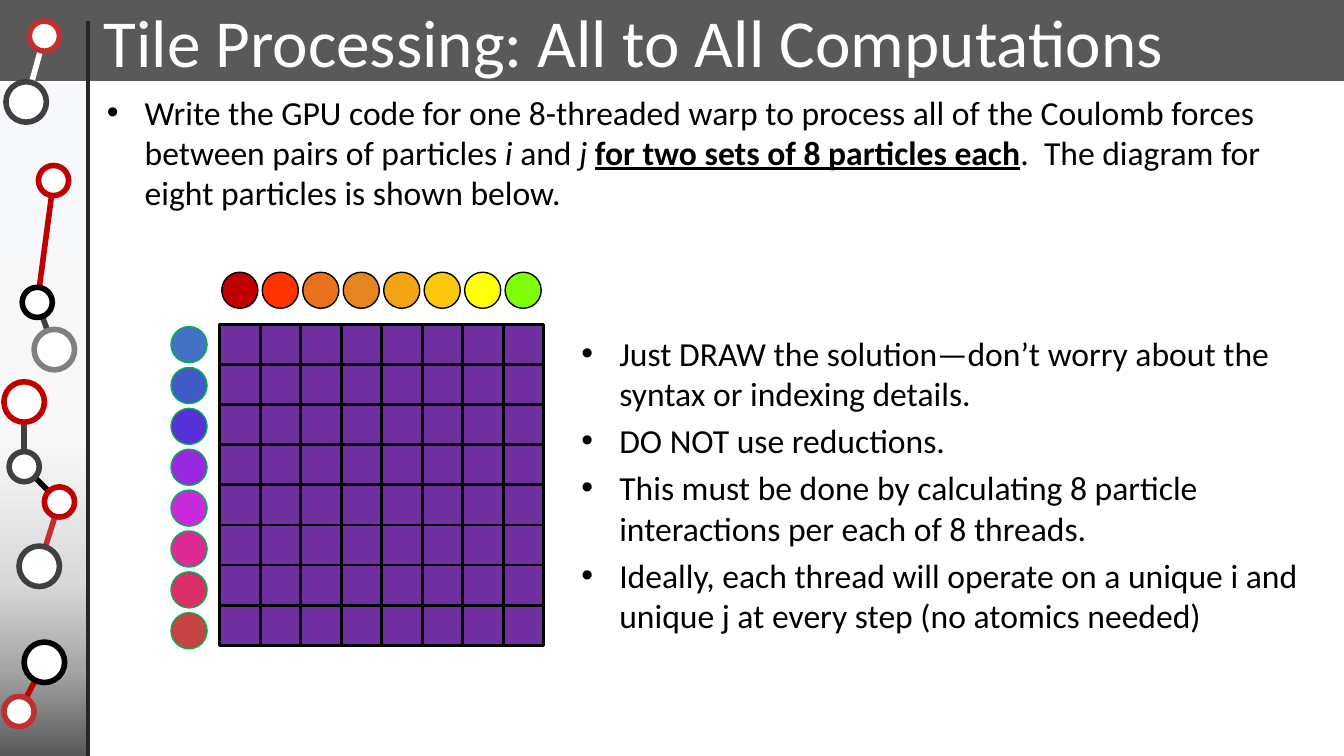
"""Build the tile processing slide with its particle interaction grid."""
from lxml.etree import SubElement
from pptx import Presentation
from pptx.dml.color import RGBColor
from pptx.enum.shapes import MSO_CONNECTOR, MSO_SHAPE
from pptx.enum.text import MSO_ANCHOR, MSO_AUTO_SIZE, PP_ALIGN
from pptx.oxml.ns import qn
from pptx.util import Cm, Pt

TITLE = "Tile Processing: All to All Computations"
TASK = [[
    ("Write the GPU code for one 8-threaded warp to process all of the Coulomb "
     "forces between pairs of particles ", {}),
    ("i", {"italic": True}),
    (" and ", {}),
    ("j ", {"italic": True}),
    ("for two sets of 8 particles each", {"bold": True, "underline": True}),
    (".  The diagram for eight particles is shown below.", {}),
]]
HINTS = [
    [("Just DRAW the solution—don’t worry about the syntax or indexing details.", {})],
    [("DO NOT use reductions.", {})],
    [("This must be done by calculating 8 particle interactions per each of 8 threads.", {})],
    [("Ideally, each thread will operate on a unique i and unique j at every step "
      "(no atomics needed)", {})],
]
COLUMN_PARTICLES = ["C00000", "FF3300", "EA711E", "E68422",
                    "F3A415", "FBC80D", "FFFF09", "7EFF09"]
ROW_PARTICLES = ["4472C4", "405AC8", "5830D8", "9A28E0",
                 "C92ADE", "DF2995", "DB2D67", "C54343"]
STRIP_GRADIENT = [(0, "F6F8FC"), (53, "F8F8F8"), (74, "D9D9D9"),
                  (87, "A6A6A6"), (100, "595959")]
SMALL, LARGE = 0.76, 1.02
NODES = {
    "A": (1.12, 0.91, SMALL, "C03030"),
    "B": (0.66, 2.57, LARGE, "404040"),
    "C": (1.35, 4.55, SMALL, "C00000"),
    "D": (0.94, 7.62, SMALL, "000000"),
    "E": (1.37, 8.81, LARGE, "808080"),
    "F": (0.61, 10.13, LARGE, "C00000"),
    "G": (0.61, 11.76, SMALL, "404040"),
    "H": (1.5, 12.65, SMALL, "C00000"),
    "I": (0.99, 14.27, LARGE, "404040"),
    "J": (1.12, 16.69, LARGE, "000000"),
    "K": (0.48, 17.93, SMALL, "C03030"),
}
LINKS = [("K", "J", "C00000"), ("H", "I", "C03030"), ("H", "G", "000000"),
         ("D", "E", "404040"), ("D", "C", "C00000"), ("A", "B", "FFFFFF"),
         ("F", "G", "404040")]

SLIDE_WIDTH, SLIDE_HEIGHT = 33.87, 19.05
STRIP_WIDTH, STRIP_TOP = 2.21, 2.06
GRID_LEFT, GRID_TOP = 5.54, 8.18
CELL_WIDTH, CELL_HEIGHT = 1.02, 1.01
PARTICLE, ROW_STEP = 0.91, 1.03


def color(value):
    return RGBColor.from_string(value)


def add_box(slide, kind, left, top, width, height, fill=None, line=None, weight=1):
    shape = slide.shapes.add_shape(kind, Cm(left), Cm(top), Cm(width), Cm(height))
    shape.shadow.inherit = False
    if fill:
        shape.fill.solid()
        shape.fill.fore_color.rgb = color(fill)
    if line:
        shape.line.color.rgb = color(line)
        shape.line.width = Pt(weight)
    else:
        shape.line.fill.background()
    return shape


def add_line(slide, start, end, line, weight):
    connector = slide.shapes.add_connector(
        MSO_CONNECTOR.STRAIGHT, Cm(start[0]), Cm(start[1]), Cm(end[0]), Cm(end[1]))
    connector.line.color.rgb = color(line)
    connector.line.width = Pt(weight)
    SubElement(connector.element.spPr, qn("a:effectLst"))


def set_gradient(shape, stops):
    shape.fill.gradient()
    shape.fill.gradient_angle = 270
    stop_list = shape.element.spPr.find(".//" + qn("a:gsLst"))
    stop_list.clear()
    for position, value in stops:
        stop = SubElement(stop_list, qn("a:gs"), pos=str(position * 1000))
        SubElement(stop, qn("a:srgbClr"), val=value)


def add_run(paragraph, text, size=24, fill="000000", bold=False, italic=False,
            underline=False):
    run = paragraph.add_run()
    run.text = text
    font = run.font
    font.name, font.size, font.color.rgb = "Calibri", Pt(size), color(fill)
    font.bold, font.italic, font.underline = bold, italic, underline


def fill_placeholder(placeholder, left, top, width, height, paragraphs):
    placeholder.left, placeholder.top = Cm(left), Cm(top)
    placeholder.width, placeholder.height = Cm(width), Cm(height)
    frame = placeholder.text_frame
    frame.word_wrap = True
    frame.auto_size = MSO_AUTO_SIZE.NONE
    frame.vertical_anchor = MSO_ANCHOR.TOP
    for index, runs in enumerate(paragraphs):
        paragraph = frame.add_paragraph() if index else frame.paragraphs[0]
        paragraph.alignment = PP_ALIGN.LEFT
        for text, style in runs:
            add_run(paragraph, text, **style)
    placeholder.element.getparent().append(placeholder.element)


def draw_frame(slide):
    strip = add_box(slide, MSO_SHAPE.RECTANGLE, 0, STRIP_TOP, STRIP_WIDTH,
                    SLIDE_HEIGHT - STRIP_TOP)
    set_gradient(strip, STRIP_GRADIENT)
    add_box(slide, MSO_SHAPE.RECTANGLE, 0, 0, SLIDE_WIDTH, 2.03, "595959", "595959")
    for start, end, line in LINKS:
        add_line(slide, NODES[start][:2], NODES[end][:2], line, 4)
    for x, y, size, line in NODES.values():
        add_box(slide, MSO_SHAPE.OVAL, x - size / 2, y - size / 2, size, size,
                "FFFFFF", line, 4)
    add_line(slide, (STRIP_WIDTH, 0.53), (STRIP_WIDTH, SLIDE_HEIGHT), "262626", 3)


def draw_grid(slide):
    for row in range(len(ROW_PARTICLES)):
        for column in range(len(COLUMN_PARTICLES)):
            add_box(slide, MSO_SHAPE.RECTANGLE, GRID_LEFT + column * CELL_WIDTH,
                    GRID_TOP + row * CELL_HEIGHT, CELL_WIDTH, CELL_HEIGHT,
                    "7030A0", "000000", 2)
    for column, fill in enumerate(COLUMN_PARTICLES):
        add_box(slide, MSO_SHAPE.OVAL, GRID_LEFT + 0.05 + column * CELL_WIDTH, 6.86,
                PARTICLE, PARTICLE, fill, "000000")
    for row, fill in enumerate(ROW_PARTICLES):
        add_box(slide, MSO_SHAPE.OVAL, 4.31, GRID_TOP + 0.05 + row * ROW_STEP,
                PARTICLE, PARTICLE, fill, "00B050")


def main():
    presentation = Presentation()
    presentation.slide_width, presentation.slide_height = Cm(SLIDE_WIDTH), Cm(SLIDE_HEIGHT)
    slide = presentation.slides.add_slide(presentation.slide_layouts.get_by_name("Two Content"))
    title, task, hints = list(slide.placeholders)
    draw_frame(slide)
    fill_placeholder(title, 2.36, -0.13, 27.91, 2.31,
                     [[(TITLE, {"size": 48, "fill": "FFFFFF"})]])
    draw_grid(slide)
    fill_placeholder(task, 2.44, 2.18, 30.2, 3.89, TASK)
    fill_placeholder(hints, 14.4, 8.26, 18.62, 8.08, HINTS)
    presentation.save("out.pptx")


if __name__ == "__main__":
    main()
